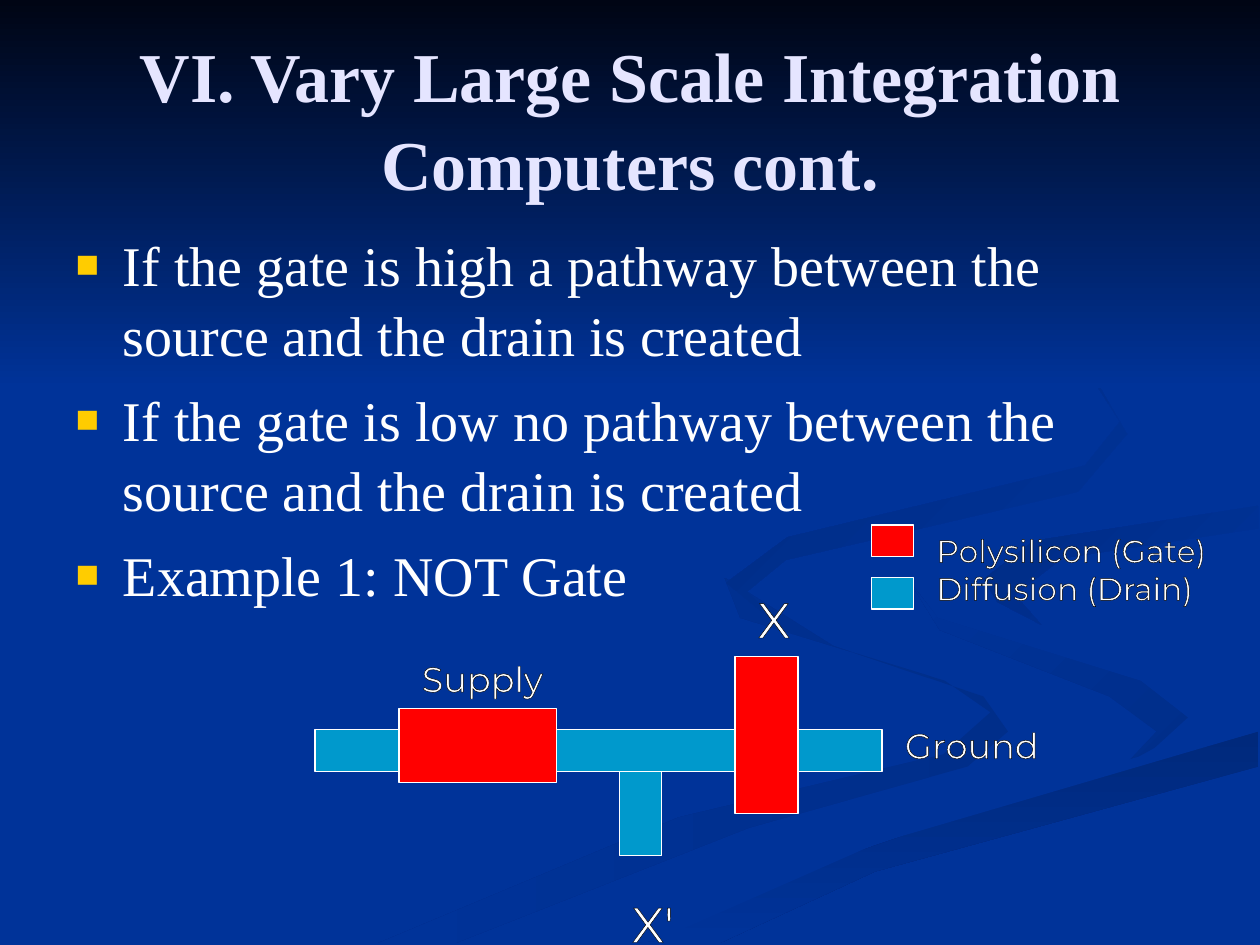
from dataclasses import dataclass

from lxml import etree
from pptx import Presentation
from pptx.dml.color import RGBColor
from pptx.enum.shapes import MSO_SHAPE
from pptx.enum.text import MSO_ANCHOR, MSO_AUTO_SIZE, PP_ALIGN
from pptx.oxml.ns import qn
from pptx.util import Pt

RECTANGLE = MSO_SHAPE.RECTANGLE
CENTER, LEFT = PP_ALIGN.CENTER, PP_ALIGN.LEFT
TOP, MIDDLE = MSO_ANCHOR.TOP, MSO_ANCHOR.MIDDLE
NO_AUTOFIT = MSO_AUTO_SIZE.NONE

BLUE, WHITE, BLACK = "003399", "FFFFFF", "000000"
GATE_RED, DRAIN_BLUE = "FF0000", "0099CC"
TITLE_LILAC, BULLET_GOLD = "E5E5FF", "FFCC00"
SERIF, SANS = "Times New Roman", "Montserrat"


@dataclass
class Ribbon:
    points: list[tuple[int, int]]
    start: str
    end: str
    angle: int


@dataclass
class Block:
    left: float
    top: float
    width: float
    height: float
    fill: str


@dataclass
class Label:
    left: float
    top: float
    width: float
    height: float
    lines: list[str]
    size: float


RIBBONS = [
    Ribbon([(562, 398), (476, 369), (414, 330), (423, 353), (540, 389), (566, 407),
            (539, 431), (388, 467), (216, 539), (260, 539), (428, 473), (553, 438),
            (576, 418)], "002E8A", BLUE, 180),
    Ribbon([(679, 410), (652, 389), (536, 353), (521, 334), (537, 360), (634, 398),
            (661, 418), (644, 436), (677, 418)], "002E8A", BLUE, 225),
    Ribbon([(374, 538), (362, 539), (411, 539), (500, 498), (719, 438), (719, 418),
            (550, 466), (431, 507)], "00297C", BLUE, 90),
    Ribbon([(522, 334), (536, 353), (652, 389), (679, 410), (656, 431), (507, 472),
            (343, 539), (374, 538), (501, 482), (719, 418), (719, 387), (588, 358),
            (562, 334), (584, 315), (719, 289), (719, 279), (554, 307)], BLUE, BLUE, 0),
    Ribbon([(562, 331), (570, 344), (595, 357), (580, 340), (607, 319), (719, 302),
            (719, 289), (591, 309)], BLUE, "002C85", 225),
    Ribbon([(492, 310), (616, 281), (644, 248), (622, 210), (549, 168), (620, 210),
            (640, 241), (620, 266), (450, 307), (415, 333), (448, 360), (427, 338),
            (449, 320)], BLUE, "002B81", 225),
    Ribbon([(0, 0), (0, 222), (720, 222), (720, 0)], "000514", BLUE, 90),
]

CIRCUIT = [
    Block(354, 429, 24, 60, DRAIN_BLUE),
    Block(180, 417, 324, 24, DRAIN_BLUE),
    Block(420, 375, 36, 90, GATE_RED),
    Block(228, 405, 90, 42, GATE_RED),
    Block(498, 300, 24, 18, GATE_RED),
    Block(498, 330, 24, 18, DRAIN_BLUE),
]

LABELS = [
    Label(426, 333, 24, 27, ["X"], 28),
    Label(354, 507, 24, 27, ["X'"], 28),
    Label(510, 410, 79, 29, ["Ground"], 20),
    Label(234, 372, 75, 29, ["Supply"], 20),
    Label(528, 300, 174, 50, ["Polysilicon (Gate)", "Diffusion (Drain)"], 18),
]

BULLETS = [
    "If the gate is high a pathway between the source and the drain is created",
    "If the gate is low no pathway between the source and the drain is created",
    "Example 1: NOT Gate",
]


def color(value: str) -> RGBColor:
    return RGBColor.from_string(value)


def place(box, left: float, top: float, width: float, height: float) -> None:
    box.left, box.top, box.width, box.height = Pt(left), Pt(top), Pt(width), Pt(height)


def add_bullet(para) -> None:
    properties = para._p.get_or_add_pPr()
    properties.set("marL", str(Pt(27)))
    properties.set("indent", str(-Pt(27)))
    holder = etree.SubElement(properties, qn("a:buClr"))
    etree.SubElement(holder, qn("a:srgbClr"), val=BULLET_GOLD)
    etree.SubElement(properties, qn("a:buSzPct"), val="70000")
    etree.SubElement(properties, qn("a:buChar"), char="■")


def add_outline(span) -> None:
    line = etree.Element(qn("a:ln"), w=str(Pt(0.75)))
    fill = etree.SubElement(line, qn("a:solidFill"))
    etree.SubElement(fill, qn("a:srgbClr"), val=BLACK)
    span._r.get_or_add_rPr().insert(0, line)


def write(box, lines: list[str], *, font: str, size: float, ink: str = WHITE,
          bold: bool = False, align=LEFT, anchor=TOP, wrap: bool = True,
          bullets: bool = False, outline: bool = False, gap: float = 0,
          spacing: float = 1.0) -> None:
    frame = box.text_frame
    frame.auto_size = NO_AUTOFIT
    frame.word_wrap = wrap
    frame.vertical_anchor = anchor
    for index, line in enumerate(lines):
        para = frame.add_paragraph() if index else frame.paragraphs[0]
        if bullets:
            add_bullet(para)
        para.alignment = align
        para.line_spacing = spacing
        para.space_before = Pt(gap if index else 0)
        span = para.add_run()
        span.text = line
        span.font.name, span.font.size, span.font.bold = font, Pt(size), bold
        span.font.color.rgb = color(ink)
        if outline:
            add_outline(span)


def draw_ribbon(page, ribbon: Ribbon) -> None:
    builder = page.shapes.build_freeform(*ribbon.points[0], scale=Pt(1))
    builder.add_line_segments(ribbon.points[1:], close=True)
    shape = builder.convert_to_shape()
    shape.shadow.inherit = False
    shape.line.fill.background()
    if ribbon.start == ribbon.end:
        shape.fill.solid()
        shape.fill.fore_color.rgb = color(ribbon.start)
        return
    shape.fill.gradient()
    shape.fill.gradient_angle = 360 - ribbon.angle
    for stop, value in zip(shape.fill.gradient_stops, (ribbon.start, ribbon.end)):
        stop.color.rgb = color(value)


def draw_block(page, block: Block) -> None:
    shape = page.shapes.add_shape(RECTANGLE, Pt(block.left), Pt(block.top),
                                  Pt(block.width), Pt(block.height))
    shape.shadow.inherit = False
    shape.fill.solid()
    shape.fill.fore_color.rgb = color(block.fill)
    shape.line.color.rgb = color(WHITE)
    shape.line.width = Pt(0.75)


def draw_label(page, label: Label) -> None:
    box = page.shapes.add_textbox(Pt(label.left), Pt(label.top),
                                  Pt(label.width), Pt(label.height))
    write(box, label.lines, font=SANS, size=label.size, wrap=False, outline=True)


def main() -> None:
    deck = Presentation()
    deck.slide_width, deck.slide_height = Pt(720), Pt(540)
    page = deck.slides.add_slide(deck.slide_layouts[1])
    page.background.fill.solid()
    page.background.fill.fore_color.rgb = color(BLUE)
    for ribbon in RIBBONS:
        draw_ribbon(page, ribbon)

    title, body = page.shapes.title, page.placeholders[1]
    for box in (title, body):
        box.element.getparent().append(box.element)
    place(title, 36, 21.6, 648, 90)
    write(title, ["VI. Vary Large Scale Integration Computers cont."], font=SERIF,
          size=40, ink=TITLE_LILAC, bold=True, align=CENTER, anchor=MIDDLE, spacing=1.05)
    place(body, 36, 126, 648, 216)
    write(body, BULLETS, font=SERIF, size=32, bullets=True, gap=8, spacing=1.05)

    for block in CIRCUIT:
        draw_block(page, block)
    for label in LABELS:
        draw_label(page, label)
    deck.save("out.pptx")


if __name__ == "__main__":
    main()
